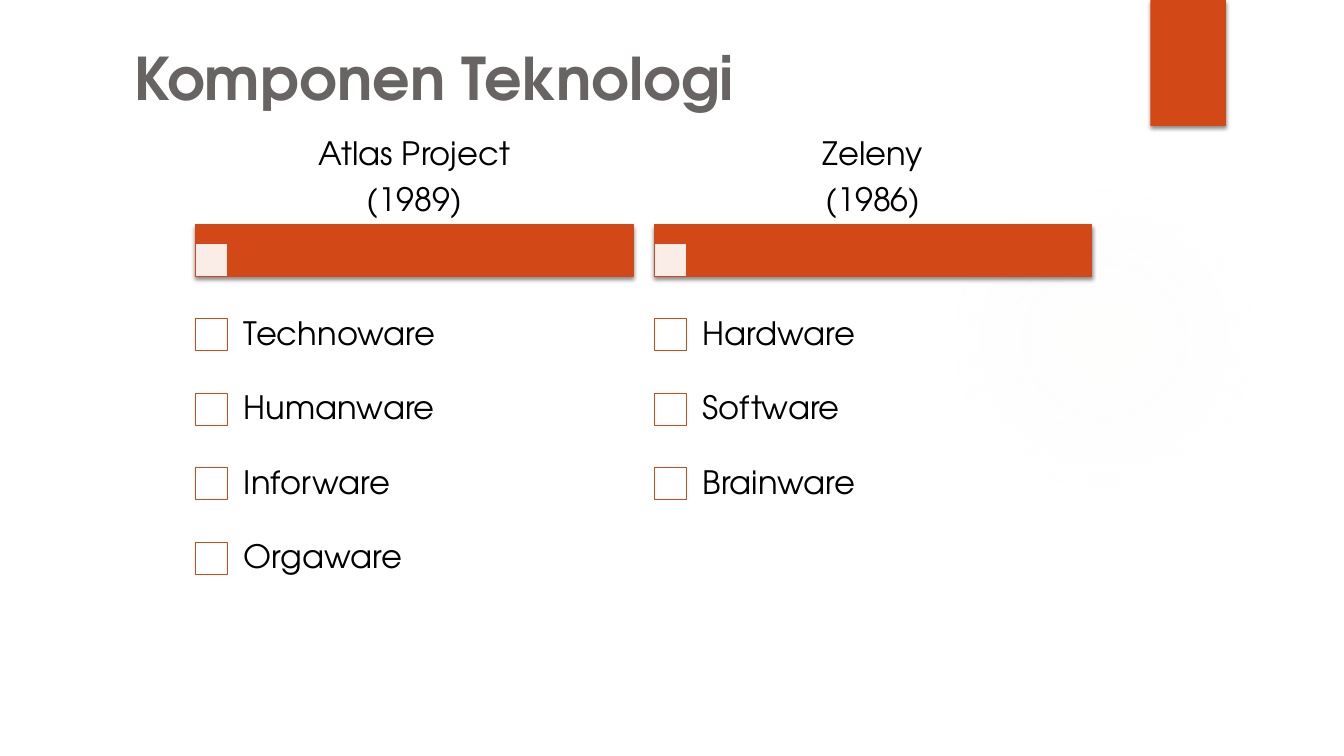
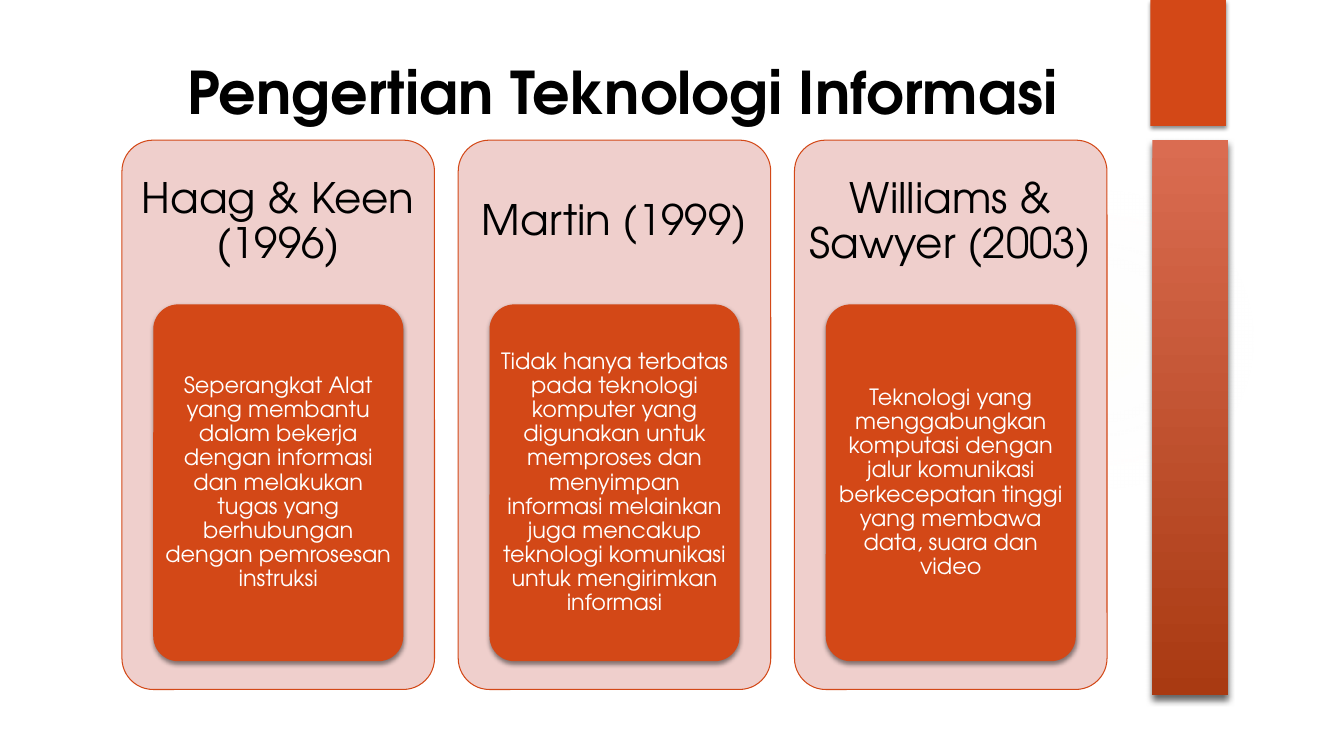
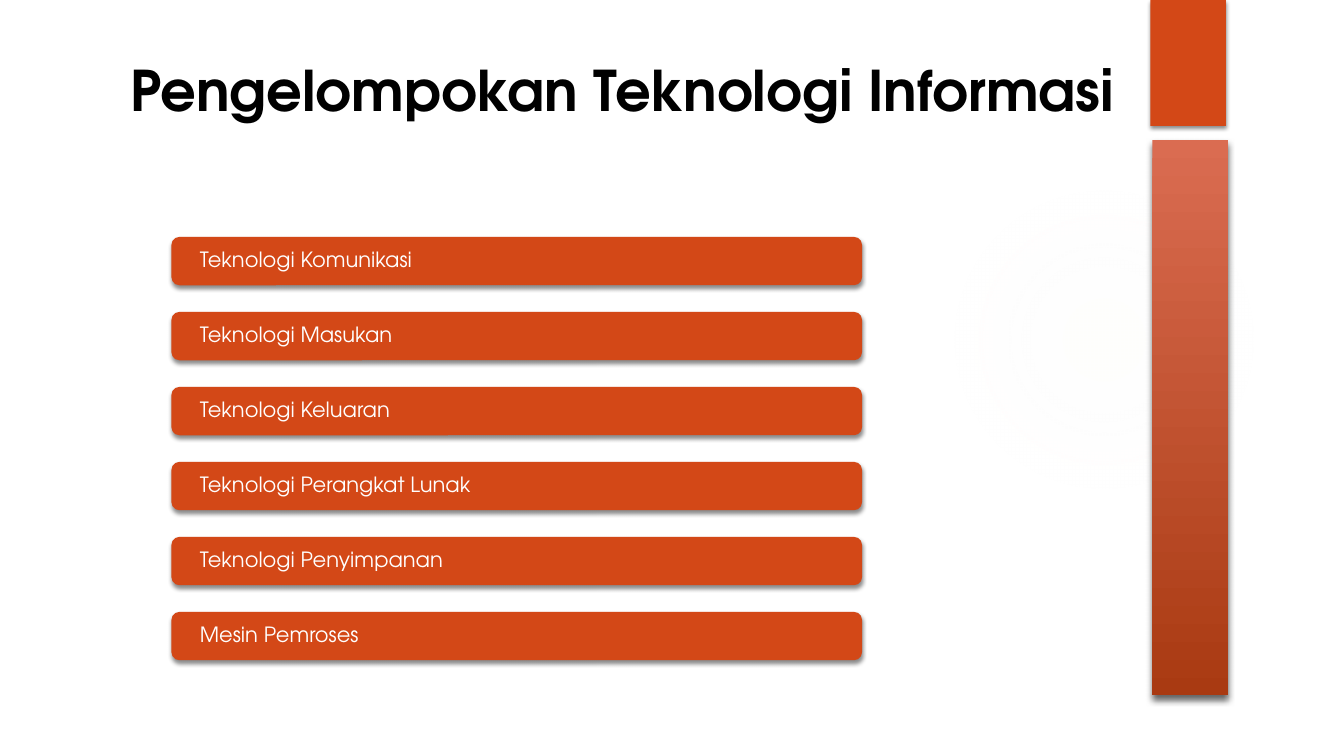
from pptx import Presentation
from pptx.dml.color import RGBColor
from pptx.enum.shapes import MSO_SHAPE as Geometry
from pptx.enum.text import MSO_ANCHOR as Anchor, MSO_AUTO_SIZE as AutoSize, PP_ALIGN as Align
from pptx.oxml import parse_xml
from pptx.oxml.ns import nsdecls, qn
from pptx.util import Inches, Pt

FONT = "TeX Gyre Adventor"
ORANGE, PINK, WHITE, BLACK = "D34817", "EFCFCC", "FFFFFF", "000000"
GREY, CREAM = "696464", "F2EFEA"
LINEAR_DOWN = '<a:lin ang="5400000" scaled="0"/>'
FROM_CENTRE = ('<a:path path="circle"><a:fillToRect l="50000" t="50000" '
               'r="50000" b="50000"/></a:path>')
SOFT_SHADOW = (45, 3, 2)
DEEP_SHADOW = (60, 5, 3)


def rgb(color):
    return RGBColor.from_string(color)


def a_element(markup):
    """Parse one DrawingML element whose opening tag ends at the first '>'."""
    head, rest = markup.split(">", 1)
    return parse_xml(f"{head} {nsdecls('a')}>{rest}")


class Deck:
    """Holds the style, the presentation and the slide being filled."""

    def __init__(self):
        self.deck = Presentation()
        self.deck.slide_width, self.deck.slide_height = Inches(13.33), Inches(7.5)
        self.layout = self.deck.slide_layouts[5]
        self.slide = None

    def add_slide(self, title, size=42, color=BLACK, align=Align.CENTER,
                  box=(1.03, 0.5, 10.28, 0.89)):
        first = self.slide is None
        self.slide = self.deck.slides.add_slide(self.layout)
        if first:
            self.decorate_layout()
        heading = self.slide.shapes.title
        heading.left, heading.top, heading.width, heading.height = map(Inches, box)
        self.set_text(heading.text_frame, [title], size, color, align, Anchor.TOP,
                      (0.1, 0.05), bold=True, spacing=None)

    def decorate_layout(self):
        """Draw the glow and the corner tab, then move them to the layout."""
        glow = self.shape((9.41, 1.83, 3.08, 3.08), None, Geometry.OVAL)
        self.gradient(glow, [(0, CREAM, 7), (36, CREAM, 6), (69, CREAM, 0)], FROM_CENTRE)
        tab = self.shape((11.41, 0, 0.75, 1.25), shadow=SOFT_SHADOW)
        for decoration in (glow, tab):
            self.layout.shapes.element.append(decoration.element)

    def shape(self, box, fill=ORANGE, geometry=Geometry.RECTANGLE, line=None,
              shadow=None, corner=None, opacity=100):
        item = self.slide.shapes.add_shape(geometry, *map(Inches, box))
        if corner is not None:
            item.adjustments[0] = corner
        if fill:
            item.fill.solid()
            item.fill.fore_color.rgb = rgb(fill)
            if opacity < 100:
                tint = item.element.spPr.find(qn("a:solidFill"))[0]
                tint.append(a_element(f'<a:alpha val="{opacity * 1000}"></a:alpha>'))
        else:
            item.fill.background()
        if line:
            item.line.color.rgb = rgb(line)
            item.line.width = Pt(0.75)
        else:
            item.line.fill.background()
        item.shadow.inherit = False
        if shadow:
            alpha, blur, distance = shadow
            item.element.spPr.find(qn("a:effectLst")).append(a_element(
                f'<a:outerShdw blurRad="{Pt(blur)}" dist="{Pt(distance)}" dir="5400000" '
                f'rotWithShape="0"><a:srgbClr val="{BLACK}">'
                f'<a:alpha val="{alpha * 1000}"/></a:srgbClr></a:outerShdw>'))
        return item

    def gradient(self, item, stops, direction):
        """Replace an empty fill by (position, colour, opacity) stops, in percent."""
        marks = "".join(
            f'<a:gs pos="{place * 1000}"><a:srgbClr val="{color}">'
            f'<a:alpha val="{opacity * 1000}"/></a:srgbClr></a:gs>'
            for place, color, opacity in stops)
        properties = item.element.spPr
        properties.replace(properties.find(qn("a:noFill")), a_element(
            f'<a:gradFill rotWithShape="1"><a:gsLst>{marks}</a:gsLst>{direction}</a:gradFill>'))

    def side_band(self):
        band = self.shape((11.43, 1.39, 0.75, 5.51), None, shadow=DEEP_SHADOW)
        self.gradient(band, [(0, "DA6C51", 100), (100, "A93A12", 100)], LINEAR_DOWN)

    def label(self, box, lines, size, align=Align.LEFT, margins=(0.05, 0.03)):
        frame = self.slide.shapes.add_textbox(*map(Inches, box)).text_frame
        self.set_text(frame, lines, size, BLACK, align, margins=margins)

    def set_text(self, frame, lines, size, color=WHITE, align=Align.CENTER,
                 anchor=Anchor.MIDDLE, margins=(0.04, 0.03), bold=False, spacing=0.9):
        frame.word_wrap = True
        frame.auto_size = AutoSize.NONE
        frame.vertical_anchor = anchor
        frame.margin_left = frame.margin_right = Inches(margins[0])
        frame.margin_top = frame.margin_bottom = Inches(margins[1])
        for index, line in enumerate(lines):
            paragraph = frame.add_paragraph() if index else frame.paragraphs[0]
            paragraph.alignment = align
            if spacing:
                paragraph.line_spacing = spacing
                paragraph.space_after = Pt(round(size * 0.35))
            run = paragraph.add_run()
            run.text = line
            run.font.name, run.font.size, run.font.bold = FONT, Pt(size), bold
            run.font.color.rgb = rgb(color)

    def checklist(self, left, heading, entries):
        self.shape((left, 2.23, 4.34, 0.51), line=ORANGE, shadow=SOFT_SHADOW)
        self.shape((left, 2.42, 0.32, 0.32), WHITE, line=ORANGE, opacity=90)
        self.label((left, 1.31, 4.34, 0.92), heading, 23, Align.CENTER)
        for row, entry in enumerate(entries):
            drop = row * 0.74
            self.shape((left, 3.16 + drop, 0.32, 0.32), WHITE, line=ORANGE)
            self.label((left + 0.3, 2.95 + drop, 4.03, 0.74), [entry], 23,
                       margins=(0.18, 0.18))

    def definition_card(self, left, author, definition):
        self.shape((left, 1.39, 3.1, 5.45), PINK, Geometry.ROUNDED_RECTANGLE,
                   line=ORANGE, corner=0.1)
        self.label((left, 1.39, 3.1, 1.63), [author], 30, Align.CENTER, (0.12, 0.12))
        panel = self.shape((left + 0.31, 3.02, 2.48, 3.54),
                           geometry=Geometry.ROUNDED_RECTANGLE,
                           shadow=SOFT_SHADOW, corner=0.1)
        self.set_text(panel.text_frame, [definition], 16)

    def group_bar(self, top, name):
        bar = self.shape((1.7, top, 6.85, 0.48), geometry=Geometry.ROUNDED_RECTANGLE,
                         shadow=SOFT_SHADOW)
        self.set_text(bar.text_frame, [name], 15, align=Align.LEFT, margins=(0.26, 0))


COMPONENTS = [
    (["Atlas Project", "(1989)"], ["Technoware", "Humanware", "Inforware", "Orgaware"]),
    (["Zeleny", "(1986)"], ["Hardware", "Software", "Brainware"]),
]
DEFINITIONS = [
    ("Haag & Keen (1996)",
     "Seperangkat Alat yang membantu dalam bekerja dengan informasi dan melakukan "
     "tugas yang berhubungan dengan pemrosesan instruksi"),
    ("Martin (1999)",
     "Tidak hanya terbatas pada teknologi komputer yang digunakan untuk memproses "
     "dan menyimpan informasi melainkan juga mencakup teknologi komunikasi untuk "
     "mengirimkan informasi"),
    ("Williams & Sawyer (2003)",
     "Teknologi yang menggabungkan komputasi dengan jalur komunikasi berkecepatan "
     "tinggi yang membawa data, suara dan video"),
]
GROUPS = ["Teknologi Komunikasi", "Teknologi Masukan", "Teknologi Keluaran",
          "Teknologi Perangkat Lunak", "Teknologi Penyimpanan", "Mesin Pemroses"]


def main():
    deck = Deck()

    deck.add_slide("Komponen Teknologi", color=GREY, align=Align.LEFT,
                   box=(1.23, 0.36, 10.28, 1.53))
    for column, (heading, entries) in enumerate(COMPONENTS):
        deck.checklist(1.94 + column * 4.55, heading, entries)

    deck.add_slide("Pengertian Teknologi Informasi")
    card_step = (7.88 - 1.21) / (len(DEFINITIONS) - 1)
    for column, (author, definition) in enumerate(DEFINITIONS):
        deck.definition_card(1.21 + column * card_step, author, definition)
    deck.side_band()

    deck.add_slide("Pengelompokan Teknologi Informasi", size=40)
    bar_step = (6.07 - 2.35) / (len(GROUPS) - 1)
    for row, name in enumerate(GROUPS):
        deck.group_bar(2.35 + row * bar_step, name)
    deck.side_band()

    deck.deck.save("out.pptx")


if __name__ == "__main__":
    main()
